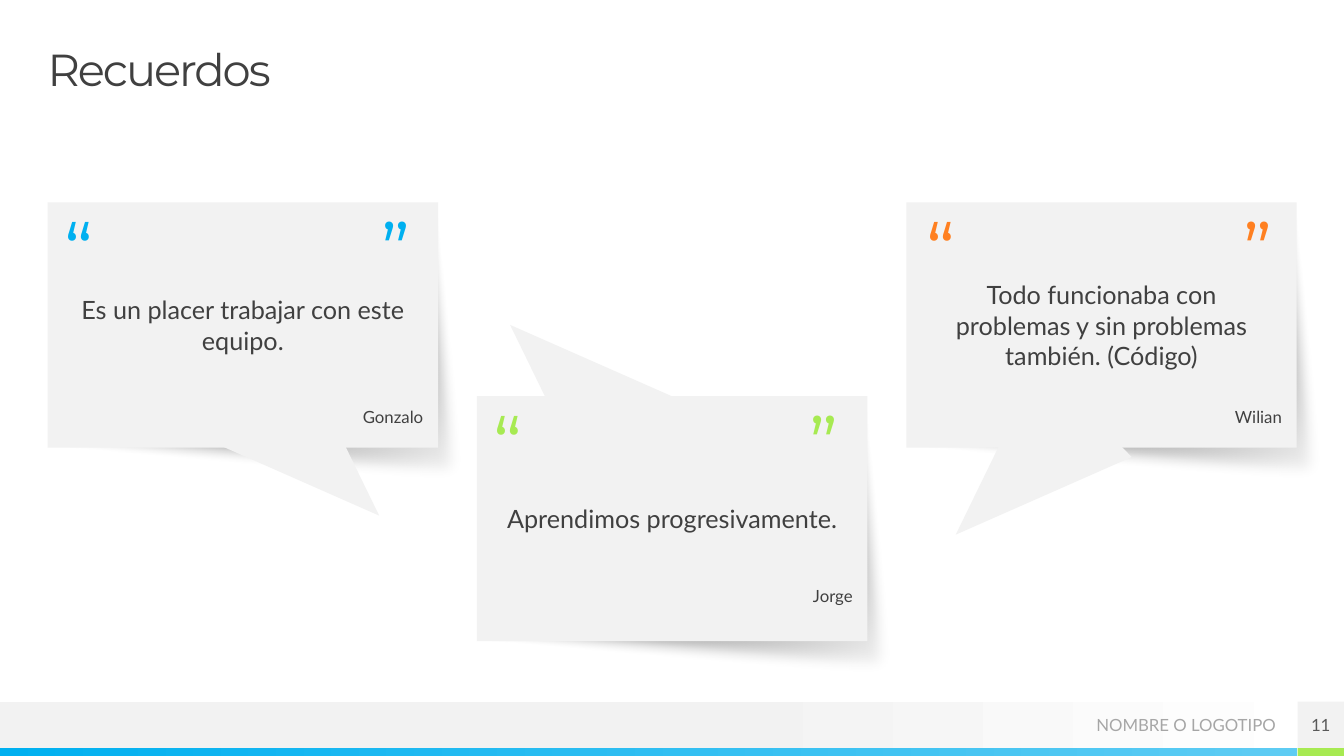
from lxml import etree
from pptx import Presentation
from pptx.dml.color import RGBColor
from pptx.enum import shapes, text
from pptx.oxml.ns import qn
from pptx.util import Cm, Pt

COLORS = {
    "panel": "F2F2F2", "white": "FFFFFF", "shadow": "000000",
    "blue": "00B0F0", "sky": "5ECCF3", "green": "A7EA52", "orange": "FF8021",
    "ink": "404040", "number": "595959", "muted": "A6A6A6",
}
SLIDE_W, SLIDE_H = 33.87, 19.05
CARD_W, CARD_H = 9.84, 6.18
CARD_LEFT, CARD_STEP = 1.2, 10.82
FOOTER_H, STRIP_H = 1.17, 0.2

TITLE = {"size": 32, "name": "Montserrat", "color": "ink", "spacing": -150,
         "line": 0.9, "align": text.PP_ALIGN.LEFT}
MARK = TITLE | {"size": 54}
QUOTE = {"size": 18, "name": "Lato", "color": "ink",
         "align": text.PP_ALIGN.CENTER, "anchor": text.MSO_ANCHOR.MIDDLE}
SMALL = {"size": 12, "name": "Lato", "color": "ink", "align": text.PP_ALIGN.RIGHT}

# Tail: left and top relative to the card, then rotation
CARDS = [
    {"quote": "Es un placer trabajar con este equipo.", "author": "Gonzalo",
     "color": "blue", "top": 5.1, "tail": (5.05, 4.04, 133.9),
     "mark_inset": 0.43, "author_top": 5.16},
    {"quote": "Aprendimos progresivamente.", "author": "Jorge",
     "color": "green", "top": 9.98, "tail": (0.81, -2.49, 313.9),
     "mark_inset": 0.41, "author_top": 4.78},
    {"quote": "Todo funcionaba con problemas y sin problemas también. (Código)",
     "author": "Wilian", "color": "orange", "top": 5.1,
     "tail": (1.22, 4.52, 226.1), "mark_inset": 0.51, "author_top": 5.16},
]


def rgb(name):
    return RGBColor.from_string(COLORS[name])


def write(shape, words, style, inset=0):
    frame = shape.text_frame
    settings = {"word_wrap": True, "auto_size": text.MSO_AUTO_SIZE.NONE,
                "vertical_anchor": style.get("anchor", text.MSO_ANCHOR.TOP)}
    settings |= {f"margin_{side}": Cm(inset) for side in ("left", "top", "right", "bottom")}
    for key, value in settings.items():
        setattr(frame, key, value)
    para = frame.paragraphs[0]
    para.alignment = style["align"]
    para.line_spacing = style.get("line", 1.0)
    span = para.add_run()
    span.text = words
    for key, value in {"name": style["name"], "size": Pt(style["size"])}.items():
        setattr(span.font, key, value)
    span.font.color.rgb = rgb(style["color"])
    if "spacing" in style:
        span.font._element.set("spc", str(style["spacing"]))


def add_text(page, box, words, style):
    write(page.shapes.add_textbox(*map(Cm, box)), words, style)


def add_block(page, box, color="panel", kind=shapes.MSO_SHAPE.RECTANGLE):
    block = page.shapes.add_shape(kind, *map(Cm, box))
    block.shadow.inherit = False
    block.line.fill.background()
    block.fill.solid()
    block.fill.fore_color.rgb = rgb(color)
    return block


def blend(shape, start, end, angle=0, start_at=0.0):
    """Fill with a two-colour linear gradient; the angle runs counter-clockwise."""
    shape.fill.gradient()
    shape.fill.gradient_angle = angle
    for stop, color, position in zip(shape.fill.gradient_stops, (start, end), (start_at, 1.0)):
        stop.color.rgb = rgb(color)
        stop.position = position


def add_shadow(page, left, top):
    """Place a soft, fading sheet that shows below and to the right of a card."""
    corners = [(0, 0), (CARD_W, 0), (CARD_W + 0.77, CARD_H + 0.99), (0, CARD_H)]
    points = [(Cm(left + x), Cm(top + y)) for x, y in corners]
    builder = page.shapes.build_freeform(*points[0])
    builder.add_line_segments(points[1:], close=True)
    sheet = builder.convert_to_shape()
    sheet.shadow.inherit = False
    sheet.line.fill.background()
    blend(sheet, "shadow", "shadow", angle=300)
    properties = sheet._element.spPr
    last_color = properties.findall(".//" + qn("a:srgbClr"))[-1]
    etree.SubElement(last_color, qn("a:alpha"), val="0")
    effects = properties.find(qn("a:effectLst"))
    etree.SubElement(effects, qn("a:softEdge"), rad="127000")


def add_card(page, left, card):
    top = card["top"]
    add_shadow(page, left, top)
    tail_x, tail_y, rotation = card["tail"]
    tail = add_block(page, (left + tail_x, top + tail_y, 3.33, 4.55),
                     kind=shapes.MSO_SHAPE.ISOSCELES_TRIANGLE)
    tail.rotation = rotation
    panel = add_block(page, (left, top, CARD_W, CARD_H))
    write(panel, card["quote"], QUOTE, inset=0.5)
    for offset, mark in ((0, "“"), (7.98, "”")):
        add_text(page, (left + card["mark_inset"] + offset, top + 0.28, 1.35, 1.19),
                 mark, MARK | {"color": card["color"]})
    add_text(page, (left + 0.43, top + card["author_top"], 9.04, 0.64),
             card["author"], SMALL)


def add_title(page, box, words):
    title = page.shapes.title
    for key, value in zip(("left", "top", "width", "height"), box):
        setattr(title, key, Cm(value))
    write(title, words, TITLE)


def add_footer(page, label, number):
    top = SLIDE_H - STRIP_H - FOOTER_H
    strip_top = SLIDE_H - STRIP_H
    tab_left = SLIDE_W - FOOTER_H
    band = add_block(page, (0, top, SLIDE_W, FOOTER_H))
    blend(band, "panel", "white", start_at=0.53)
    strip = add_block(page, (0, strip_top, tab_left, STRIP_H))
    blend(strip, "blue", "sky")
    add_block(page, (tab_left, strip_top, FOOTER_H, STRIP_H), "green")
    middle = {"anchor": text.MSO_ANCHOR.MIDDLE}
    add_text(page, (tab_left - 6.23, top, 5.69, 1.19), label,
             SMALL | middle | {"color": "muted"})
    tab = add_block(page, (tab_left, top, FOOTER_H, FOOTER_H))
    write(tab, number, SMALL | middle | {"color": "number", "align": text.PP_ALIGN.CENTER})


def main():
    deck = Presentation()
    deck.slide_width, deck.slide_height = Cm(SLIDE_W), Cm(SLIDE_H)
    page = deck.slides.add_slide(deck.slide_layouts[5])
    add_footer(page, "NOMBRE O LOGOTIPO", "11")
    add_title(page, (1.2, 1.2, 31.5, 1.2), "Recuerdos")
    for index, card in enumerate(CARDS):
        add_card(page, CARD_LEFT + index * CARD_STEP, card)
    deck.save("out.pptx")


if __name__ == "__main__":
    main()
